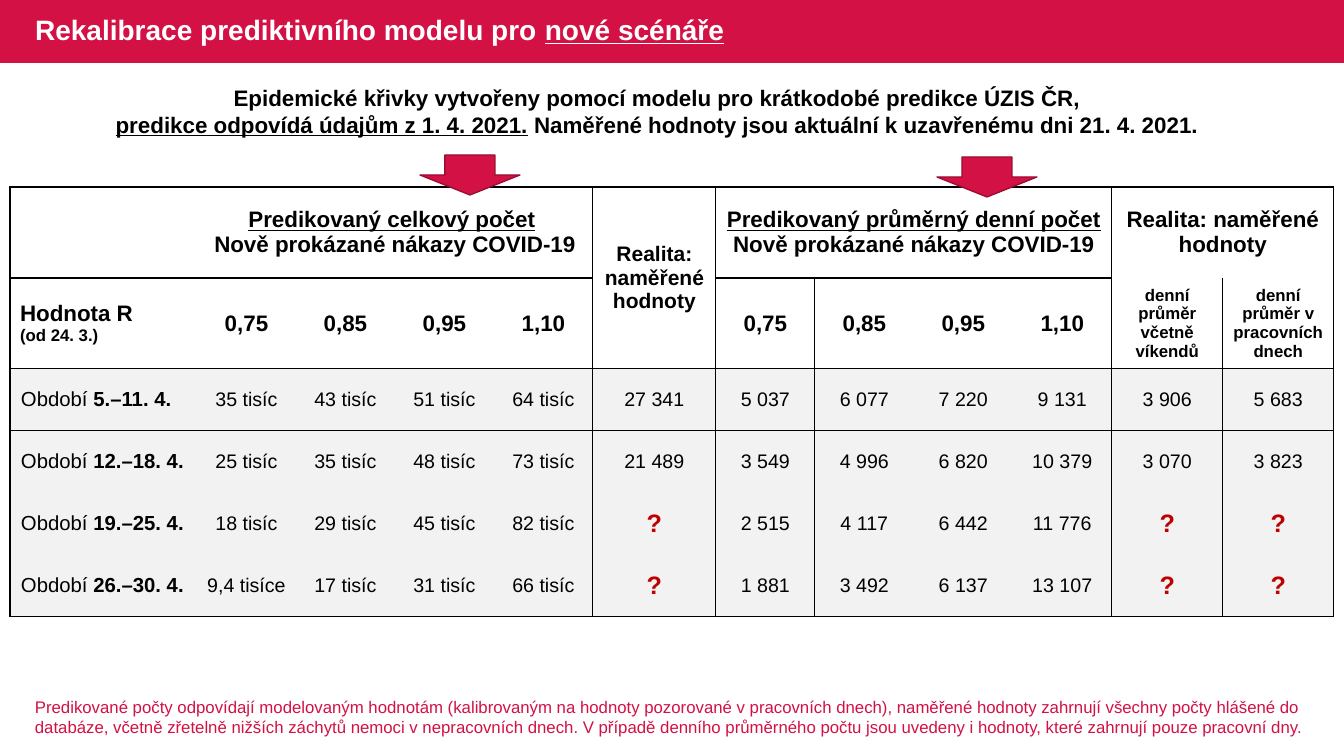
from dataclasses import dataclass
from typing import Optional

from lxml.etree import SubElement
from pptx import Presentation
from pptx.dml.color import RGBColor
from pptx.enum.shapes import MSO_SHAPE
from pptx.enum.text import MSO_ANCHOR, MSO_AUTO_SIZE, PP_ALIGN
from pptx.oxml.ns import qn
from pptx.util import Emu, Pt

SCALE = 914400 / 100.8  # EMU in one px
RED, DARK, MARK = "D31145", "9C0D33", "C00000"
BLACK, WHITE, GREY = "000000", "FFFFFF", "F2F2F2"
LEFT, MID = PP_ALIGN.LEFT, PP_ALIGN.CENTER


@dataclass
class Run:
    text: str
    under: bool = False
    bold: Optional[bool] = None
    size: Optional[float] = None


@dataclass
class Style:
    size: float
    bold: bool = False
    color: str = BLACK
    align: PP_ALIGN = MID


@dataclass
class Head:
    row: int
    col: int
    lines: list[list[Run]]
    style: Style
    down: int = 1
    across: int = 1


@dataclass
class Box:
    x: int
    y: int
    w: int
    h: int

    def emu(self) -> list[Emu]:
        return [px(n) for n in (self.x, self.y, self.w, self.h)]


def px(n: int) -> Emu:
    return Emu(round(n * SCALE))


def color(code: str) -> RGBColor:
    return RGBColor.from_string(code)


def write(frame, lines: list[list[Run]], style: Style) -> None:
    """Fill a text frame; a newline inside a run is a line break."""
    for i, runs in enumerate(lines):
        para = frame.paragraphs[0] if i == 0 else frame.add_paragraph()
        para.alignment = style.align
        font = para.font
        font.name, font.size, font.bold = "Arial", Pt(style.size), style.bold
        font.color.rgb = color(style.color)
        for run in runs:
            for k, part in enumerate(run.text.split("\n")):
                if k:
                    para.add_line_break()
                if not part:
                    continue
                item = para.add_run()
                item.text = part
                if run.under:
                    item.font.underline = True
                if run.bold is not None:
                    item.font.bold = run.bold
                if run.size:
                    item.font.size = Pt(run.size)


def shape(slide, kind: MSO_SHAPE, box: Box, line: Optional[str] = None):
    item = slide.shapes.add_shape(kind, *box.emu())
    item.shadow.inherit = False
    item.fill.solid()
    item.fill.fore_color.rgb = color(RED)
    if line:
        item.line.color.rgb = color(line)
        item.line.width = Pt(1)
    else:
        item.line.fill.background()
    return item


def label(slide, box: Box, runs: list[Run], style: Style) -> None:
    frame = slide.shapes.add_textbox(*box.emu()).text_frame
    frame.word_wrap = True
    write(frame, [runs], style)


# Table content
BIG, SMALL = Style(16, True), Style(12, True)
NEW = "Nově prokázané nákazy COVID-19"
REAL = [[Run("Realita: naměřené")], [Run("hodnoty")]]
RATES = ["0,75", "0,85", "0,95", "1,10"]
HEADS = [
    Head(0, 1, [[Run("Predikovaný celkový počet", True), Run(" \n" + NEW)]], BIG, across=4),
    Head(0, 5, REAL, Style(15, True), down=2),
    Head(0, 6, [[Run("Predikovaný průměrný denní počet", True), Run(" " + NEW)]], BIG, across=4),
    Head(0, 10, REAL, BIG, across=2),
    Head(1, 0, [[Run("Hodnota R\n"), Run("(od 24. 3.)", size=12)]], Style(16, True, align=LEFT)),
    *[Head(1, start + i, [[Run(rate)]], BIG) for start in (1, 6) for i, rate in enumerate(RATES)],
    Head(1, 10, [[Run("denní průměr včetně víkendů")]], SMALL),
    Head(1, 11, [[Run("denní průměr v pracovních dnech")]], SMALL),
]
DATA = [
    ["5.–11. 4.", "35 tisíc", "43 tisíc", "51 tisíc", "64 tisíc", "27 341",
     "5 037", "6 077", "7 220", "9 131", "3 906", "5 683"],
    ["12.–18. 4.", "25 tisíc", "35 tisíc", "48 tisíc", "73 tisíc", "21 489",
     "3 549", "4 996", "6 820", "10 379", "3 070", "3 823"],
    ["19.–25. 4.", "18 tisíc", "29 tisíc", "45 tisíc", "82 tisíc", "?",
     "2 515", "4 117", "6 442", "11 776", "?", "?"],
    ["26.–30. 4.", "9,4 tisíce", "17 tisíc", "31 tisíc", "66 tisíc", "?",
     "1 881", "3 492", "6 137", "13 107", "?", "?"],
]
COLS = [187] + [99] * 4 + [123] + [99] * 4 + [111] * 2
ROWS = [91, 86] + [62] * 4


def upright(row: int, col: int) -> bool:
    """Is there a rule on the left of this column?"""
    return col in (0, 5, 6, 10, 12) or (row > 0 and col in (7, 11))


def level(row: int, col: int) -> bool:
    """Is there a rule on top of this row?"""
    return row in (0, 2, 3, 6) or (row == 1 and col not in (5, 10, 11))


def border(cell, row: int, col: int, down: int, across: int) -> None:
    sides = {"a:lnL": upright(row, col), "a:lnR": upright(row, col + across),
             "a:lnT": level(row, col), "a:lnB": level(row + down, col)}
    props = cell._tc.get_or_add_tcPr()
    for i, (tag, ruled) in enumerate(sides.items()):
        line = SubElement(props, qn(tag), w=str(Pt(1)))
        if ruled:
            fill = SubElement(line, qn("a:solidFill"))
            SubElement(fill, qn("a:srgbClr"), val=BLACK)
        else:
            SubElement(line, qn("a:noFill"))
        props.insert(i, line)


def grid(slide, box: Box) -> None:
    table = slide.shapes.add_table(len(ROWS), len(COLS), *box.emu()).table
    table.first_row = table.horz_banding = False
    for col, width in zip(table.columns, COLS):
        col.width = px(width)
    for row, height in zip(table.rows, ROWS):
        row.height = px(height)

    # Header rows
    spans = {}
    for head in HEADS:
        cell = table.cell(head.row, head.col)
        if head.down * head.across > 1:
            cell.merge(table.cell(head.row + head.down - 1, head.col + head.across - 1))
        spans[head.row, head.col] = head.down, head.across
        write(cell.text_frame, head.lines, head.style)

    # Periods and counts
    for r, texts in enumerate(DATA, 2):
        for c, text in enumerate(texts):
            cell = table.cell(r, c)
            cell.margin_left = px(0 if c else 11)
            cell.margin_right = cell.margin_top = cell.margin_bottom = 0
            if c == 0:
                runs, style = [Run("Období "), Run(text, bold=True)], Style(14.5, align=LEFT)
            else:
                runs = [Run(text)]
                style = Style(18, True, MARK) if text == "?" else Style(14)
            write(cell.text_frame, [runs], style)

    # Fills and rules
    for r in range(len(ROWS)):
        for c in range(len(COLS)):
            cell = table.cell(r, c)
            cell.vertical_anchor = MSO_ANCHOR.MIDDLE
            if r < 2:
                cell.fill.background()
            else:
                cell.fill.solid()
                cell.fill.fore_color.rgb = color(GREY)
            border(cell, r, c, *spans.get((r, c), (1, 1)))


def main() -> None:
    deck = Presentation()
    deck.slide_width, deck.slide_height = px(1344), px(756)
    slide = deck.slides.add_slide(deck.slide_layouts[5])

    # Title on its band
    band = shape(slide, MSO_SHAPE.RECTANGLE, Box(0, 0, 1344, 63))
    slide.shapes._spTree.insert(2, band._element)
    title = slide.shapes.title
    title.left, title.top, title.width, title.height = Box(25, 0, 747, 63).emu()
    frame = title.text_frame
    frame.auto_size, frame.vertical_anchor = MSO_AUTO_SIZE.NONE, MSO_ANCHOR.MIDDLE
    write(frame, [[Run("Rekalibrace prediktivního modelu pro "), Run("nové scénáře", True)]],
          Style(20, True, WHITE, LEFT))
    frame.paragraphs[0].line_spacing = 0.9

    # Lead text, table and footnote
    label(slide, Box(-22, 79, 1358, 65), [
        Run("Epidemické křivky vytvořeny pomocí modelu pro krátkodobé predikce ÚZIS ČR,\n"),
        Run("predikce odpovídá údajům z 1. 4. 2021.", True),
        Run(" Naměřené hodnoty jsou aktuální k uzavřenému dni 21. 4. 2021.")], BIG)
    grid(slide, Box(10, 187, sum(COLS), sum(ROWS)))
    label(slide, Box(25, 692, 1293, 51), [Run(
        "Predikované počty odpovídají modelovaným hodnotám (kalibrovaným na hodnoty pozorované "
        "v pracovních dnech), naměřené hodnoty zahrnují všechny počty hlášené do databáze, včetně "
        "zřetelně nižších záchytů nemoci v nepracovních dnech. V případě denního průměrného počtu "
        "jsou uvedeny i hodnoty, které zahrnují pouze pracovní dny.")], Style(12, color=RED, align=LEFT))

    # Arrows to the two predictions
    for x, y in ((420, 155), (937, 157)):
        shape(slide, MSO_SHAPE.DOWN_ARROW, Box(x, y, 100, 40), DARK)

    deck.save("out.pptx")


if __name__ == "__main__":
    main()
